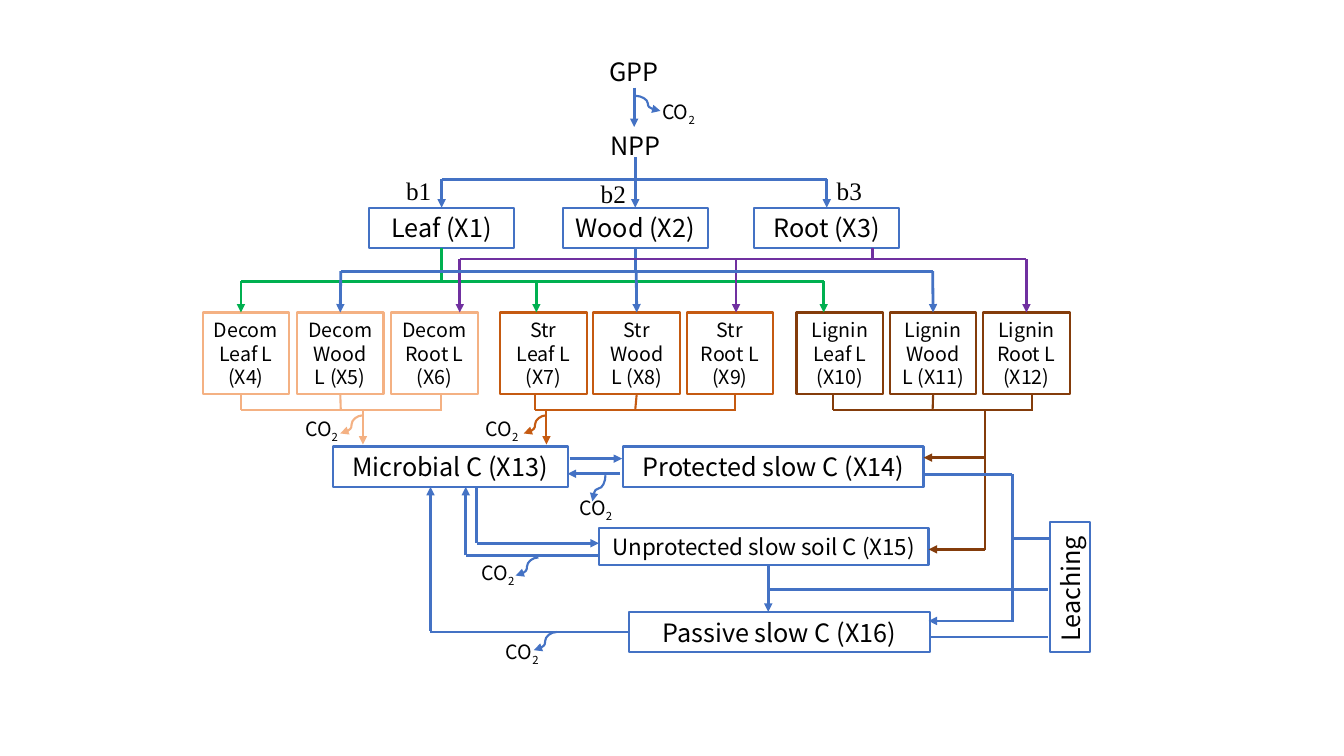
"""Draw the carbon pool flow diagram from GPP to passive soil carbon."""
from lxml import etree
from pptx import Presentation
from pptx import util as u
from pptx.dml import color
from pptx.enum import shapes, text
from pptx.oxml import ns

SANS, SERIF = "Noto Sans CJK SC", "Times New Roman"
BLUE, GREEN, PURPLE = "4472C4", "00B050", "7030A0"
PEACH, ORANGE, BROWN = "F4B183", "C55A11", "843C0B"
TOP, LEFT, BOTTOM = 0, 1, 2
STRAIGHT, CURVE = shapes.MSO_CONNECTOR.STRAIGHT, shapes.MSO_CONNECTOR.CURVE
paint = color.RGBColor.from_string

deck = Presentation()
deck.slide_width, deck.slide_height = u.Inches(13.33), u.Inches(7.5)
page = deck.slides.add_slide(deck.slide_layouts[6])
cell = deck.slide_height / 75


def add_box(left, top, width, height, words, size, edge=None, face=SANS):
    """Add a label, framed when an edge colour is given; lengths are grid cells."""
    area = [round(n * cell) for n in (left, top, width, height)]
    if edge:
        box = page.shapes.add_shape(shapes.MSO_SHAPE.RECTANGLE, *area)
        box.shadow.inherit = False
        box.fill.background()
        box.line.color.rgb = paint(edge)
        box.line.width = u.Pt(1.5)
    else:
        box = page.shapes.add_textbox(*area)
    box.text_frame.word_wrap = True
    box.text_frame.text = words
    for para in box.text_frame.paragraphs:
        para.alignment = text.PP_ALIGN.CENTER
        for span in para.runs:
            span.font.name, span.font.size = face, u.Pt(size)
            span.font.color.rgb = paint("000000")
    return box


def add_flow(x1, y1, x2, y2, hue, head=True, width=2, kind=STRAIGHT):
    """Add a connector between two grid points, with an arrowhead if asked."""
    flow = page.shapes.add_connector(kind, *[round(n * cell) for n in (x1, y1, x2, y2)])
    flow.line.color.rgb = paint(hue)
    flow.line.width = u.Pt(width)
    if head:
        etree.SubElement(flow.get_or_add_ln(), ns.qn("a:tailEnd"), type="triangle")
    etree.SubElement(flow._element.spPr, ns.qn("a:effectLst"))
    return flow


add_box(55.7, 5.1, 14.4, 4, "GPP", 18)
add_box(55.8, 12.4, 14.4, 4, "NPP", 18)
leaf, wood, root = [
    add_box(left, 20.6, 14.4, 4, words, 18, BLUE)
    for left, words in ((36.6, "Leaf (X1)"), (55.8, "Wood (X2)"), (74.8, "Root (X3)"))
]
for left, top, words in ((39.3, 16.9, "b1"), (58.6, 17.2, "b2"), (82, 16.9, "b3")):
    share = add_box(left, top, 4.5, 4, words, 18, face=SERIF)
    share.text_frame.word_wrap = False
    share.text_frame.paragraphs[0].alignment = text.PP_ALIGN.LEFT

add_flow(62.9, 8.7, 62.9, 12.6, BLUE)
add_flow(43.8, 17.8, 82, 17.8, BLUE, head=False)
for x, y, pool in ((43.8, 17.8, leaf), (63, 15.6, wood), (82, 17.8, root)):
    add_flow(x, y, x, 20.6, BLUE).end_connect(pool, TOP)

litter_groups = (
    (20.1, 9.35, 23.9, PEACH, ("Decom Leaf L (X4)", "Decom Wood L (X5)", "Decom Root L (X6)")),
    (49.6, 9.25, 53.1, ORANGE, ("Str\nLeaf L (X7)", "Str Wood L (X8)", "Str\nRoot L (X9)")),
    (79, 9.25, 82.6, BROWN, ("Lignin\nLeaf L (X10)", "Lignin\nWood L (X11)", "Lignin\nRoot L (X12)")),
)
wood_litter = []
for first, step, drain, hue, names in litter_groups:
    trio = [add_box(first + i * step, 31, 8.6, 8.1, name, 14, hue) for i, name in enumerate(names)]
    wood_litter.append(trio[1])
    add_flow(drain, 40.7, drain + 19.9, 40.7, hue, head=False, width=1.5)
    for i, pool in enumerate(trio):
        x = drain + i * 9.9
        stem = add_flow(x, 39.1, x, 40.7, hue, head=False, width=1.5)
        if i == 1:
            stem.begin_connect(pool, BOTTOM)
root_lignin = trio[2]

for pool, x, bus in ((leaf, 43.8, 27.9), (wood, 63, 26.9)):
    hue = GREEN if pool is leaf else BLUE
    add_flow(x, 24.6, x, bus, hue, head=False).begin_connect(pool, BOTTOM)
add_flow(86.5, 24.6, 86.5, 25.7, PURPLE, head=False)

litter_inputs = (
    (GREEN, 27.9, ((23.9, None), (53.2, None), (81.7, None))),
    (PURPLE, 25.7, ((45.6, None), (73, None), (101.8, root_lignin))),
    (BLUE, 26.9, tuple(zip((33.8, 63.1, 92.5), wood_litter))),
)
for hue, bus, drops in litter_inputs:
    add_flow(drops[0][0], bus, drops[-1][0], bus, hue, head=False)
    for x, pool in drops:
        drop = add_flow(x, bus, x, 31, hue)
        if pool is not None:
            drop.end_connect(pool, TOP)

add_box(33, 44.3, 23.3, 4, "Microbial C (X13)", 18, BLUE)
add_box(61.8, 44.3, 29.8, 4, "Protected slow C (X14)", 18, BLUE)
add_box(59.4, 52.4, 32.7, 3.7, "Unprotected slow soil C (X15)", 16, BLUE)
passive = add_box(62.4, 60.7, 29.8, 4, "Passive slow C (X16)", 18, BLUE)
leaching = add_box(99.7, 56.2, 12.9, 4, "Leaching", 18, BLUE)
leaching.rotation = 270
leaching.text_frame.paragraphs[0].alignment = text.PP_ALIGN.LEFT

soil_arrows = (
    (36, 40.7, 36, 44.1, PEACH, True, 1.5),
    (54.2, 40.7, 54.2, 44.1, ORANGE, True, 1.5),
    (97.7, 40.7, 97.7, 54.6, BROWN, False),
    (97.7, 54.5, 92.1, 54.5, BROWN),
    (97.7, 45.4, 91.6, 45.4, BROWN),
    (91.6, 47.1, 100.4, 47.1, BLUE, False),
    (100.4, 47, 100.4, 61.7, BLUE, False),
    (100.5, 61.6, 92.1, 61.6, BLUE),
    (56.5, 45.5, 61.7, 45.5, BLUE),
    (61.5, 47, 56.3, 47, BLUE),
    (47.3, 48.3, 47.3, 53.9, BLUE, False),
    (47.3, 53.9, 59.4, 53.9, BLUE),
    (59.4, 55.1, 46.2, 55.1, BLUE, False),
    (46.2, 55.1, 46.2, 48.3, BLUE),
    (42.7, 62.6, 42.7, 48.3, BLUE),
    (76.2, 56.2, 76.2, 60.7, BLUE),
    (76.2, 58.5, 103.9, 58.5, BLUE, False),
    (92.2, 63.2, 103.9, 63.2, BLUE, False),
    (100.4, 53.4, 104.1, 53.4, BLUE, False),
)
for arrow in soil_arrows:
    add_flow(*arrow)
add_flow(42.7, 62.7, 62.4, 62.7, BLUE, head=False).end_connect(passive, LEFT)

for left, top in ((64.5, 9.4), (56.3, 48.7), (49, 63), (46.6, 55.2), (29.1, 40.9), (47, 40.9)):
    gas = add_box(left, top, 5.6, 3.4, "CO", 14)
    span = gas.text_frame.paragraphs[0].add_run()
    span.text = "2"
    span.font.name, span.font.size = SANS, u.Pt(14)
    span.font.color.rgb = paint("000000")
    span._r.get_or_add_rPr().set("baseline", "-25000")

for x, y, hue in ((53.4, 55.3, BLUE), (55.2, 62.7, BLUE), (36, 41.2, PEACH), (54.2, 41.2, ORANGE)):
    add_flow(x, y, x - 2.25, y + 1.8, hue, width=1.5, kind=CURVE)
add_flow(63, 9.5, 65.5, 11, BLUE, width=1.5, kind=CURVE)
release = add_flow(58.1, 47.8, 60.7, 49.1, BLUE, width=1.5, kind=CURVE)
release._element.spPr.find(ns.qn("a:xfrm")).set("rot", "5400000")

deck.save("out.pptx")
